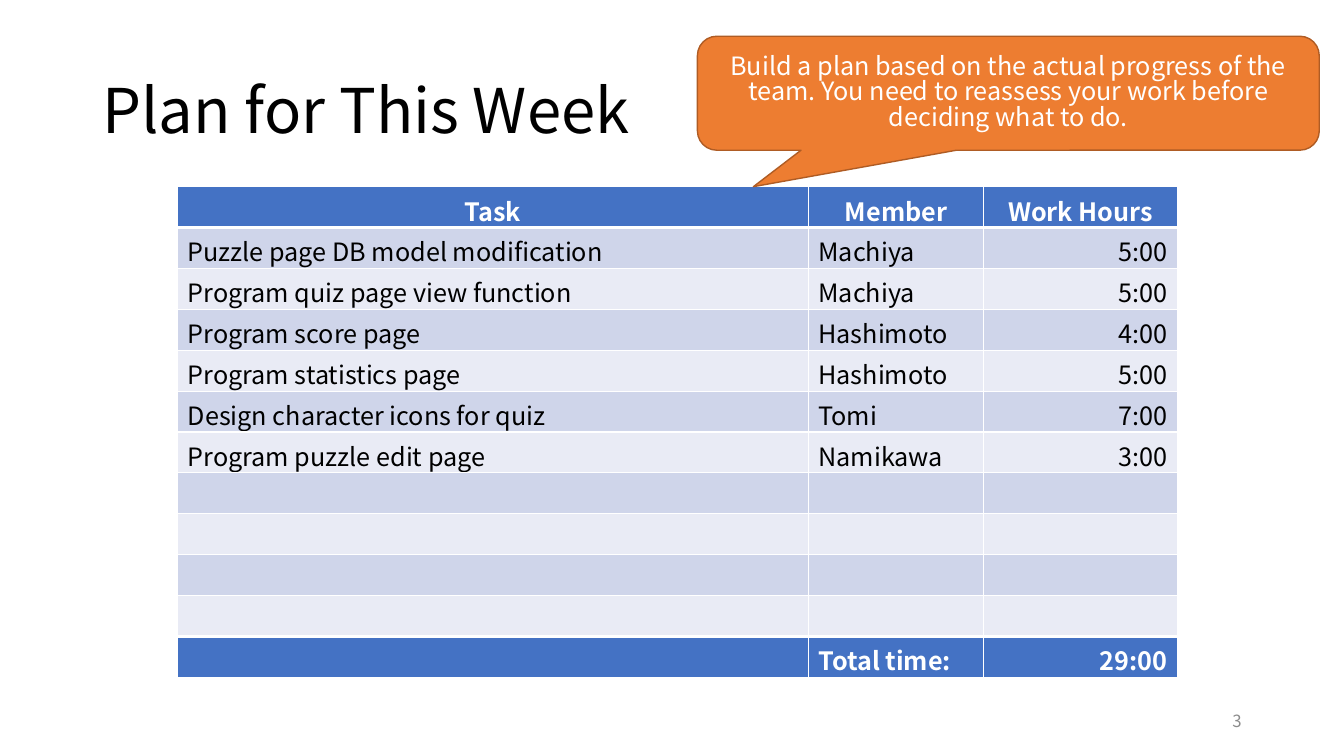
from lxml import etree
from pptx import Presentation
from pptx.dml.color import RGBColor
from pptx.enum import shapes, text
from pptx.oxml.ns import qn
from pptx.util import Pt

FONT = "Noto Sans CJK JP"
COLORS = {
    "ink": "000000", "white": "FFFFFF", "number": "8C8C8C",
    "header": "4472C4", "odd": "CFD5EA", "even": "E9EBF5",
    "callout": "ED7D31", "callout_line": "AF5C24",
}
LEFT, CENTER, RIGHT = text.PP_ALIGN.LEFT, text.PP_ALIGN.CENTER, text.PP_ALIGN.RIGHT

HEADINGS = ("Task", "Member", "Work Hours")
TASKS = [
    ("Puzzle page DB model modification", "Machiya", "5:00"),
    ("Program quiz page view function", "Machiya", "5:00"),
    ("Program score page", "Hashimoto", "4:00"),
    ("Program statistics page", "Hashimoto", "5:00"),
    ("Design character icons for quiz", "Tomi", "7:00"),
    ("Program puzzle edit page", "Namikawa", "3:00"),
]
SPARE_ROWS = 4
TOTAL = ("", "Total time:", "29:00")


def color(name):
    return RGBColor.from_string(COLORS[name])


def write(frame, words, size, ink, align=LEFT, bold=False, spacing=None):
    paragraph = frame.paragraphs[0]
    paragraph.alignment = align
    if spacing:
        paragraph.line_spacing = spacing
    if not words:
        # An empty cell keeps the height of a line in the table font
        end = etree.SubElement(paragraph._p, qn("a:endParaRPr"), sz=str(size * 100))
        etree.SubElement(end, qn("a:latin"), typeface=FONT)
        return
    run = paragraph.add_run()
    run.text = words
    run.font.name, run.font.size, run.font.bold = FONT, Pt(size), bold
    run.font.color.rgb = color(ink)


def add_label(slide, box, words, size, ink, **style):
    frame = slide.shapes.add_textbox(*map(Pt, box)).text_frame
    frame.word_wrap = True
    frame.vertical_anchor = text.MSO_ANCHOR.MIDDLE
    write(frame, words, size, ink, **style)


def add_borders(cell, top, bottom):
    properties = cell._tc.get_or_add_tcPr()
    widths = {"L": 1, "R": 1, "T": top, "B": bottom}
    for index, (side, width) in enumerate(widths.items()):
        line = etree.Element(qn(f"a:ln{side}"), w=str(Pt(width)))
        fill = etree.SubElement(line, qn("a:solidFill"))
        etree.SubElement(fill, qn("a:srgbClr"), val=COLORS["white"])
        properties.insert(index, line)


def add_plan_table(slide, box):
    left, top, width, height = box
    rows = [HEADINGS, *TASKS, *[("", "", "")] * SPARE_ROWS, TOTAL]
    last = len(rows) - 1
    table = slide.shapes.add_table(len(rows), 3, *map(Pt, box)).table
    table.last_row = True
    member, hours = 125.3, 138.2
    for column, size in zip(table.columns, (width - member - hours, member, hours)):
        column.width = Pt(size)

    for r, values in enumerate(rows):
        table.rows[r].height = Pt(height / len(rows))
        accent = r in (0, last)
        fill = "header" if accent else "odd" if r % 2 else "even"
        for c, words in enumerate(values):
            cell = table.cell(r, c)
            cell.fill.solid()
            cell.fill.fore_color.rgb = color(fill)
            # Thick rules set off the header and the total
            add_borders(cell, top=3 if r in (1, last) else 1,
                        bottom=3 if r in (0, last - 1) else 1)
            align = CENTER if r == 0 else RIGHT if c == 2 else LEFT
            write(cell.text_frame, words, 18, "white" if accent else "ink",
                  align=align, bold=accent)


def add_callout(slide, box, words):
    kind = shapes.MSO_SHAPE.ROUNDED_RECTANGULAR_CALLOUT
    callout = slide.shapes.add_shape(kind, *map(Pt, box))
    callout.shadow.inherit = False
    for index, value in enumerate((-0.41, 0.82, 0.17)):
        callout.adjustments[index] = value
    callout.fill.solid()
    callout.fill.fore_color.rgb = color("callout")
    callout.line.color.rgb = color("callout_line")
    callout.line.width = Pt(1)
    frame = callout.text_frame
    frame.word_wrap = True
    frame.vertical_anchor = text.MSO_ANCHOR.MIDDLE
    write(frame, words, 18, "white", align=CENTER, spacing=0.84)


def build_plan_slide(deck, box):
    left, top, width, height = box
    slide = deck.slides.add_slide(deck.slide_layouts[6])
    # Title
    add_label(slide, (left + 66, top + 28.8, width - 132, 104.4),
              "Plan for This Week", 44, "ink", spacing=0.9)
    # Task table
    add_plan_table(slide, (left + 126.9, top + 133.4, 714, 350.4))
    # Slide number
    add_label(slide, (left + width - 282, top + height - 39.6, 216, 28.8),
              "3", 12, "number", align=RIGHT)
    # Advice
    add_callout(slide, (left + 498.2, top + 25.9, 444.2, 81.4),
                "Build a plan based on the actual progress of the team. "
                "You need to reassess your work before deciding what to do.")


deck = Presentation()
deck.slide_width, deck.slide_height = Pt(960), Pt(540)
build_plan_slide(deck, (0, 0, 960, 540))
deck.save("out.pptx")
